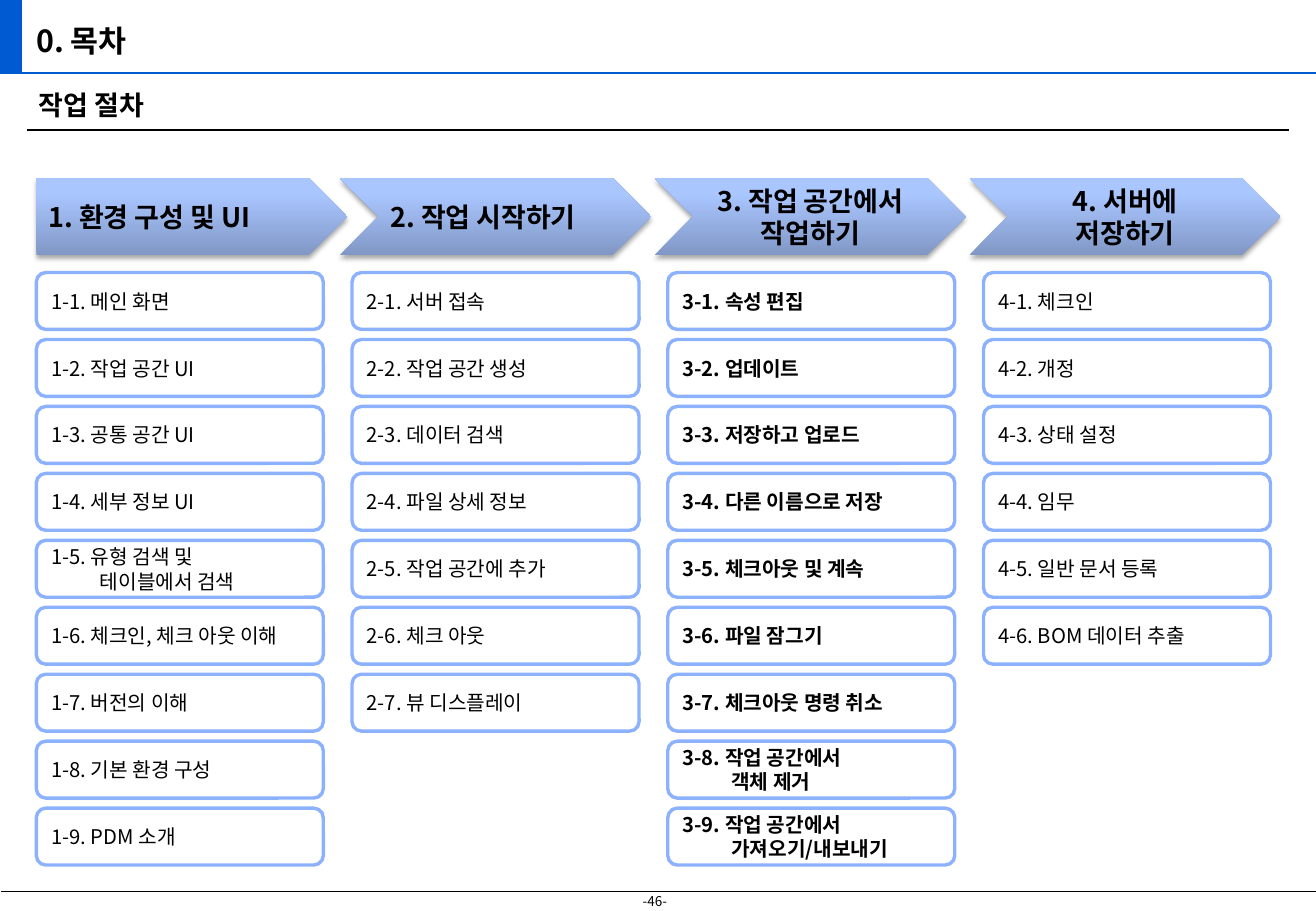
import copy

import lxml.etree
import pptx
import pptx.dml.color
import pptx.enum.shapes
import pptx.enum.text
import pptx.oxml.ns
import pptx.util

Cm = pptx.util.Cm
Pt = pptx.util.Pt
SHAPE = pptx.enum.shapes.MSO_SHAPE
ALIGN = pptx.enum.text.PP_ALIGN
ANCHOR = pptx.enum.text.MSO_ANCHOR
qn = pptx.oxml.ns.qn

TITLE = "0. 목차"
SUBTITLE = "작업 절차"
PAGE_NUMBER = "-46-"

# A line break starts a new paragraph.
STAGES = [
    {"title": "1. 환경 구성 및 UI", "align": ALIGN.LEFT, "bold": False, "steps": [
        "1-1. 메인 화면", "1-2. 작업 공간 UI", "1-3. 공통 공간 UI",
        "1-4. 세부 정보 UI", "1-5. 유형 검색 및\n테이블에서 검색",
        "1-6. 체크인, 체크 아웃 이해", "1-7. 버전의 이해",
        "1-8. 기본 환경 구성", "1-9. PDM 소개"]},
    {"title": "2. 작업 시작하기", "align": ALIGN.LEFT, "bold": False, "steps": [
        "2-1. 서버 접속", "2-2. 작업 공간 생성", "2-3. 데이터 검색",
        "2-4. 파일 상세 정보", "2-5. 작업 공간에 추가",
        "2-6. 체크 아웃", "2-7. 뷰 디스플레이"]},
    {"title": "3. 작업 공간에서\n작업하기", "align": ALIGN.CENTER, "bold": True, "steps": [
        "3-1. 속성 편집", "3-2. 업데이트", "3-3. 저장하고 업로드",
        "3-4. 다른 이름으로 저장", "3-5. 체크아웃 및 계속", "3-6. 파일 잠그기",
        "3-7. 체크아웃 명령 취소", "3-8. 작업 공간에서\n객체 제거",
        "3-9. 작업 공간에서\n가져오기/내보내기"]},
    {"title": "4. 서버에\n저장하기", "align": ALIGN.CENTER, "bold": False, "steps": [
        "4-1. 체크인", "4-2. 개정", "4-3. 상태 설정", "4-4. 임무",
        "4-5. 일반 문서 등록", "4-6. BOM 데이터 추출"]},
]

THEME = {
    "font": "Noto Sans CJK KR",
    "text": "000000",
    "accent": "005BD3",
    "step_fill": "FFFFFF",
    "step_line": "8CB1FE",
    "gradient": [(0, "8198C6"), (0.8, "AAC6FF"), (1, "ACC7FF")],
    "title": {"size": Pt(18), "bold": True},
    "heading": {"size": Pt(16), "bold": True},
    "step": {"size": Pt(12), "bold": False},
    "page": {"size": Pt(8), "bold": False},
}

# Layout in centimetres
PAGE_WIDTH, PAGE_HEIGHT = 27.51, 19.05
STEP_LEFT, STEP_TOP, STEP_WIDTH, STEP_HEIGHT = 0.76, 5.7, 6, 1.19
COLUMN_PITCH, ROW_PITCH = 6.6, 1.4
ARROW_TOP, ARROW_WIDTH, ARROW_HEIGHT = 3.73, 6.5, 1.6
CHEVRON_LEFT, CHEVRON_PITCH = 7.11, 6.58
SECOND_LINE_INDENT = 1.02

# left, top, right, bottom, colour, width
RULES = [
    (0, 1.52, PAGE_WIDTH, 1.52, THEME["accent"], 1),
    (0.03, 18.64, PAGE_WIDTH, 18.64, THEME["text"], 0.5),
    (0.56, 2.72, 26.95, 2.72, THEME["text"], 0.75),
]


def color(value):
    return pptx.dml.color.RGBColor.from_string(value)


def set_all(target, values):
    for name, value in values.items():
        setattr(target, name, value)


def write(box, text, style, align=ALIGN.LEFT, hanging=0, wrap=True, inset=0.25):
    frame = box.text_frame
    set_all(frame, {"word_wrap": wrap, "vertical_anchor": ANCHOR.MIDDLE,
                    "margin_left": Cm(inset), "margin_right": Cm(inset)})
    for index, line in enumerate(text.split("\n")):
        para = frame.add_paragraph() if index else frame.paragraphs[0]
        para.alignment = align
        if index and hanging:
            para._p.get_or_add_pPr().set("marL", str(Cm(hanging)))
        span = para.add_run()
        span.text = line
        set_all(span.font, {"name": THEME["font"], **style})
        span.font.color.rgb = color(THEME["text"])
        east_asian = lxml.etree.SubElement(span._r.get_or_add_rPr(), qn("a:ea"))
        east_asian.set("typeface", THEME["font"])


def add_text(page, place, text, style, **options):
    write(page.shapes.add_textbox(*map(Cm, place)), text, style, **options)


def add_box(page, kind, place, fill, line=None):
    box = page.shapes.add_shape(kind, *map(Cm, place))
    box.shadow.inherit = False
    box.fill.solid()
    box.fill.fore_color.rgb = color(fill)
    if line:
        box.line.color.rgb = color(line)
        box.line.width = Pt(2)
    else:
        box.line.fill.background()
    return box


def add_rule(page, left, top, right, bottom, shade, width):
    rule = page.shapes.add_connector(
        pptx.enum.shapes.MSO_CONNECTOR.STRAIGHT, *map(Cm, (left, top, right, bottom)))
    rule.line.color.rgb = color(shade)
    rule.line.width = Pt(width)
    lxml.etree.SubElement(rule._element.spPr, qn("a:effectLst"))


def shade_arrow(arrow):
    """Give an arrow its three-stop gradient and soft shadow."""
    arrow.fill.gradient()
    arrow.fill.gradient_angle = 90
    properties = arrow._element.spPr
    stops = properties.find(qn("a:gradFill")).find(qn("a:gsLst"))
    stops.append(copy.deepcopy(stops[0]))
    for stop, (position, shade) in zip(arrow.fill.gradient_stops, THEME["gradient"]):
        stop.position = position
        stop.color.rgb = color(shade)
    shadow = lxml.etree.SubElement(
        properties.find(qn("a:effectLst")), qn("a:outerShdw"),
        blurRad=str(Pt(3.1)), dist=str(Pt(1.8)), dir="5400000", rotWithShape="0")
    black = lxml.etree.SubElement(shadow, qn("a:srgbClr"), val=THEME["text"])
    lxml.etree.SubElement(black, qn("a:alpha"), val="35000")


def add_stage(page, column, stage):
    if column:
        kind, left = SHAPE.CHEVRON, CHEVRON_LEFT + (column - 1) * CHEVRON_PITCH
    else:
        kind, left = SHAPE.PENTAGON, STEP_LEFT
    arrow = add_box(page, kind, (left, ARROW_TOP, ARROW_WIDTH, ARROW_HEIGHT),
                    THEME["gradient"][0][1])
    shade_arrow(arrow)
    write(arrow, stage["title"], THEME["heading"], stage["align"])

    style = {**THEME["step"], "bold": stage["bold"]}
    for row, step in enumerate(stage["steps"]):
        place = (STEP_LEFT + column * COLUMN_PITCH, STEP_TOP + row * ROW_PITCH,
                 STEP_WIDTH, STEP_HEIGHT)
        box = add_box(page, SHAPE.FLOWCHART_ALTERNATE_PROCESS, place,
                      THEME["step_fill"], THEME["step_line"])
        write(box, step, style, hanging=SECOND_LINE_INDENT)


def main():
    deck = pptx.Presentation()
    set_all(deck, {"slide_width": Cm(PAGE_WIDTH), "slide_height": Cm(PAGE_HEIGHT)})
    page = deck.slides.add_slide(deck.slide_layouts[6])
    add_text(page, (13.13, 18.54, 1.12, 0.61), PAGE_NUMBER, THEME["page"],
             align=ALIGN.CENTER, wrap=False)
    add_box(page, SHAPE.RECTANGLE, (-0.05, 0, 0.51, 1.52), THEME["accent"])
    for rule in RULES:
        add_rule(page, *rule)
    add_text(page, (0.56, 0.36, 13.59, 0.97), TITLE, THEME["title"], inset=0.2)
    add_text(page, (0.56, 1.73, 26.01, 0.94), SUBTITLE, THEME["heading"])
    for column, stage in enumerate(STAGES):
        add_stage(page, column, stage)
    deck.save("out.pptx")


if __name__ == "__main__":
    main()
